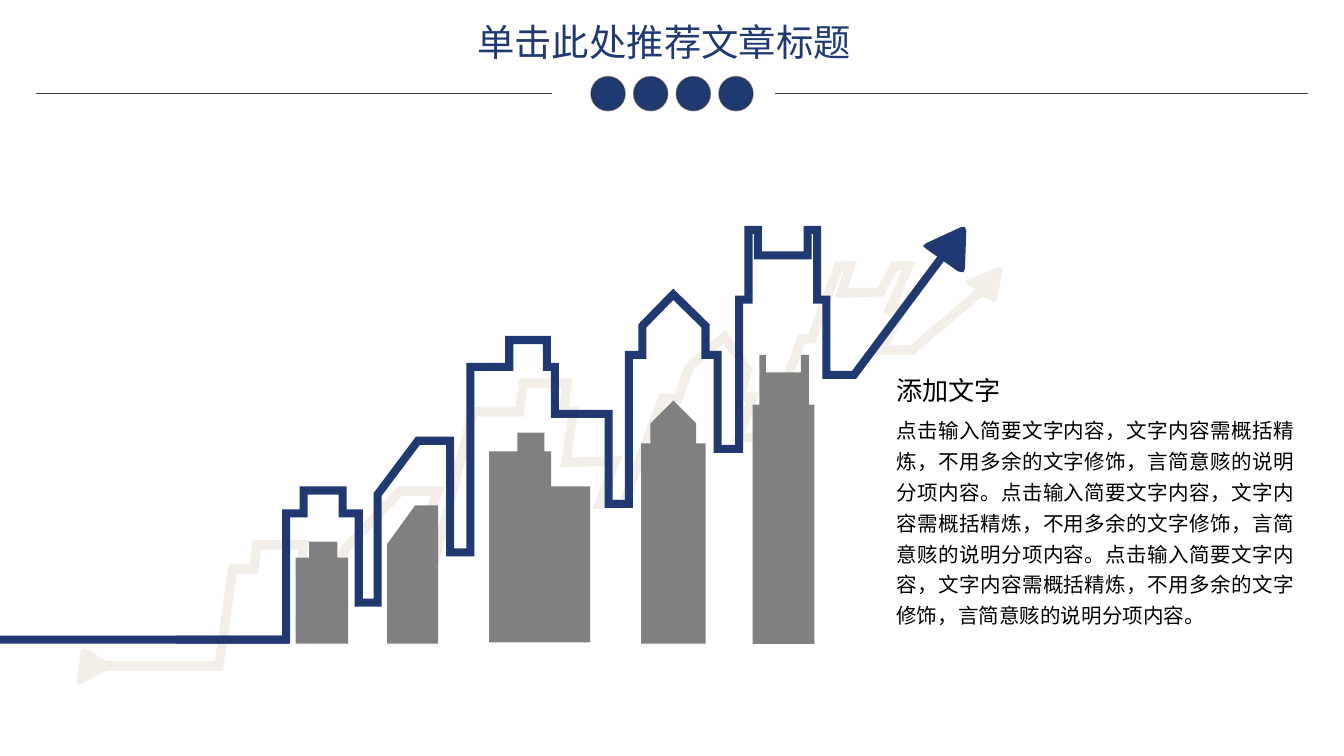
from math import hypot

from pptx import Presentation
from pptx.dml.color import RGBColor
from pptx.enum.shapes import MSO_CONNECTOR, MSO_SHAPE
from pptx.enum.text import MSO_ANCHOR, MSO_AUTO_SIZE, PP_ALIGN
from pptx.oxml.ns import qn
from pptx.util import Pt
from lxml.etree import SubElement

COLORS = {"navy": "203A71", "rule": "404040", "dot_edge": "2F2637",
          "tan": "9E7549", "gray": "808080", "black": "000000"}
SC, JP = "Noto Sans CJK SC", "Noto Sans CJK JP"
UNIT = 0.72  # points per step of the drawing grid

SENTENCE = "点击输入简要文字内容，文字内容需概括精炼，不用多余的文字修饰，言简意赅的说明分项内容。"

# Centre lines and outlines, in grid steps from the corner of the skyline box
SKYLINE = [
    (131, 326), (213, 326), (213, 232), (226, 232), (226, 215), (255, 215),
    (255, 232), (267, 232), (267, 298.5), (281, 298.5), (281, 218),
    (311, 178), (335, 178), (335, 261), (350, 261), (350, 123), (379, 123),
    (379, 103), (407, 103), (407, 123), (413, 123), (413, 158), (453, 158),
    (453, 225), (468, 225), (468, 114), (478, 114), (478, 92.5), (501, 69),
    (525, 92.5), (525, 114), (534, 114), (534, 184), (550, 184), (550, 73),
    (557, 73), (557, 21), (564, 21), (564, 40), (601, 40), (601, 21),
    (608, 21), (608, 73), (615, 73), (615, 129), (635.5, 129), (706, 34.5)]
SKYLINE_HEAD = [(689, 35), (686.8, 33), (689, 31), (715, 19), (718, 18.8),
                (719, 22), (718, 50), (716.8, 52.6), (713, 52)]
SHADOW = [
    (79.5, 345.5), (163, 345.5), (173, 273.5), (189, 273.5), (191, 255.5),
    (226, 255.5), (223.5, 273.5), (237, 273.5), (224.5, 312), (241.5, 312),
    (256.5, 259), (297.5, 215.5), (326, 215.5), (306, 266.5), (323.5, 266.5),
    (352, 156.5), (386.5, 156.5), (389.5, 135), (422, 135), (419, 156.5),
    (426.5, 156.5), (421, 194), (458, 193), (446, 225), (464, 225),
    (493, 146.5), (504.5, 146.5), (512.5, 123.5), (539, 100.5),
    (556, 125.5), (550.5, 145.5), (560, 145.5), (550, 175.5), (569, 175.5),
    (596.5, 102), (604, 102), (624, 48), (632.5, 48), (626, 68), (655, 67.5),
    (665.5, 48), (676, 48), (662.5, 79.5), (671.5, 79.5), (656, 110.5),
    (678.5, 110.5), (728.5, 68)]
SHADOW_HEAD = [(720, 62), (718.5, 60), (720, 58), (743, 49), (745.5, 49.5),
               (746, 51), (742, 72), (741, 74.5), (738, 74)]
SHADOW_TAIL = [(60, 359), (57.5, 359.5), (57, 357), (60, 335), (61.5, 332.5),
               (64, 333)]
BUILDINGS = [
    [(606, 329), (606, 151), (602, 151), (602, 114), (596, 114), (596, 127),
     (570, 127), (570, 114), (565, 114), (565, 151), (560, 151), (560, 329)],
    [(439, 328), (439, 212), (410, 212), (410, 186), (405, 186), (405, 172),
     (385, 172), (385, 186), (364, 186), (364, 328)],
    [(525, 329), (525, 180), (518, 180), (518, 165), (501, 148), (484, 165),
     (484, 180), (477, 180), (477, 329)],
    [(259, 329), (259, 265), (251, 265), (251, 253), (230, 253), (230, 265),
     (220, 265), (220, 329)],
    [(326, 329), (326, 226), (309, 226), (288, 255), (288, 329)]]


def color(name):
    return RGBColor.from_string(COLORS[name])


def set_alpha(paint, percent):
    """Make a solid fill, given its parent element, partly transparent."""
    SubElement(next(paint.iter(qn("a:srgbClr"))), qn("a:alpha"), val=str(percent * 1000))


def ribbon(line, width):
    """Return both mitred edges of a band of the given width along a line."""
    normals = []
    for (x1, y1), (x2, y2) in zip(line, line[1:]):
        length = hypot(x2 - x1, y2 - y1)
        normals.append(((y2 - y1) / length, (x1 - x2) / length))
    upper, lower = [], []
    for (x, y), (ax, ay), (bx, by) in zip(line, normals[:1] + normals, normals + normals[-1:]):
        reach = width / 2 / (1 + ax * bx + ay * by)
        dx, dy = (ax + bx) * reach, (ay + by) * reach
        upper.append((x + dx, y + dy))
        lower.append((x - dx, y - dy))
    return upper, lower


def add_outline(page, left, top, points, name):
    spots = [(Pt(left + x * UNIT), Pt(top + y * UNIT)) for x, y in points]
    builder = page.shapes.build_freeform(*spots[0], scale=1.0)
    builder.add_line_segments(spots[1:], close=True)
    shape = builder.convert_to_shape()
    paint_shape(shape, name)
    return shape


def paint_shape(shape, name):
    shape.shadow.inherit = False
    shape.fill.solid()
    shape.fill.fore_color.rgb = color(name)
    shape.line.fill.background()


def fill_text(shape, text, size, font, name, inset=None, wrap=False, anchor=MSO_ANCHOR.MIDDLE):
    frame = shape.text_frame
    frame.word_wrap = wrap
    frame.auto_size = MSO_AUTO_SIZE.SHAPE_TO_FIT_TEXT
    frame.vertical_anchor = anchor
    if inset is not None:
        frame.margin_left = frame.margin_right = Pt(inset)
        frame.margin_top = frame.margin_bottom = Pt(inset)
    para = frame.paragraphs[0]
    para.alignment = PP_ALIGN.LEFT
    span = para.add_run()
    span.text = text
    span.font.size = Pt(size)
    span.font.name = font
    span.font.color.rgb = color(name)
    SubElement(span.font._element, qn("a:ea"), typeface=font)
    return para


def add_header(page, left, top, width):
    """Place the title, the row of dots and the rules on either side."""
    title = page.shapes.title
    title.left, title.top = Pt(left + 229), Pt(top)
    title.width, title.height = Pt(216.7), Pt(31.7)
    fill_text(title, "单击此处推荐文章标题", 20, SC, "navy", anchor=MSO_ANCHOR.TOP)
    middle = top + 43.7
    for start, end in ((396, width), (0, 276.5)):
        rule = page.shapes.add_connector(MSO_CONNECTOR.STRAIGHT, Pt(left + start), Pt(middle),
                                         Pt(left + end), Pt(middle))
        rule.line.color.rgb = color("rule")
        rule.line.width = Pt(0.5)
        SubElement(rule._element.spPr, qn("a:effectLst"))
    size, pitch = 18.3, 22.85
    for index in range(4):
        dot = page.shapes.add_shape(MSO_SHAPE.OVAL, Pt(left + 297.2 + index * pitch),
                                    Pt(middle - size / 2), Pt(size), Pt(size))
        paint_shape(dot, "navy")
        dot.line.color.rgb = color("dot_edge")
        dot.line.width = Pt(0.75)
        set_alpha(dot.line._ln, 50)


def add_skyline(page, left, top):
    upper, lower = ribbon(SHADOW, 7)
    shadow = add_outline(page, left, top, upper + SHADOW_HEAD + lower[::-1] + SHADOW_TAIL, "tan")
    set_alpha(shadow._element.spPr.find(qn("a:solidFill")), 12)
    upper, lower = ribbon(SKYLINE, 6)
    add_outline(page, left, top, upper + lower[::-1], "navy")
    add_outline(page, left, top, SKYLINE_HEAD, "navy")
    ground = page.shapes.add_shape(MSO_SHAPE.RECTANGLE, Pt(left), Pt(top + 323 * UNIT),
                                   Pt(215 * UNIT), Pt(6 * UNIT))
    paint_shape(ground, "navy")
    for building in BUILDINGS:
        add_outline(page, left, top, building, "gray")


def add_caption(page, left, top, width):
    body = page.shapes.add_textbox(Pt(left), Pt(top + 20.9), Pt(width), Pt(118.1))
    para = fill_text(body, SENTENCE * 3, 11, JP, "black", inset=1.44, wrap=True)
    para.alignment = PP_ALIGN.JUSTIFY
    para.line_spacing = 1.25
    heading = page.shapes.add_textbox(Pt(left), Pt(top), Pt(59.8), Pt(20.2))
    fill_text(heading, "添加文字", 14, JP, "black", inset=1.44)


def main():
    deck = Presentation()
    deck.slide_width, deck.slide_height = Pt(720), Pt(405)
    page = deck.slides.add_slide(deck.slide_layouts[5])
    add_header(page, 19.4, 6.5, 681.2)
    add_skyline(page, 0, 108)
    add_caption(page, 478.8, 198.7, 216)
    deck.save("out.pptx")


if __name__ == "__main__":
    main()
